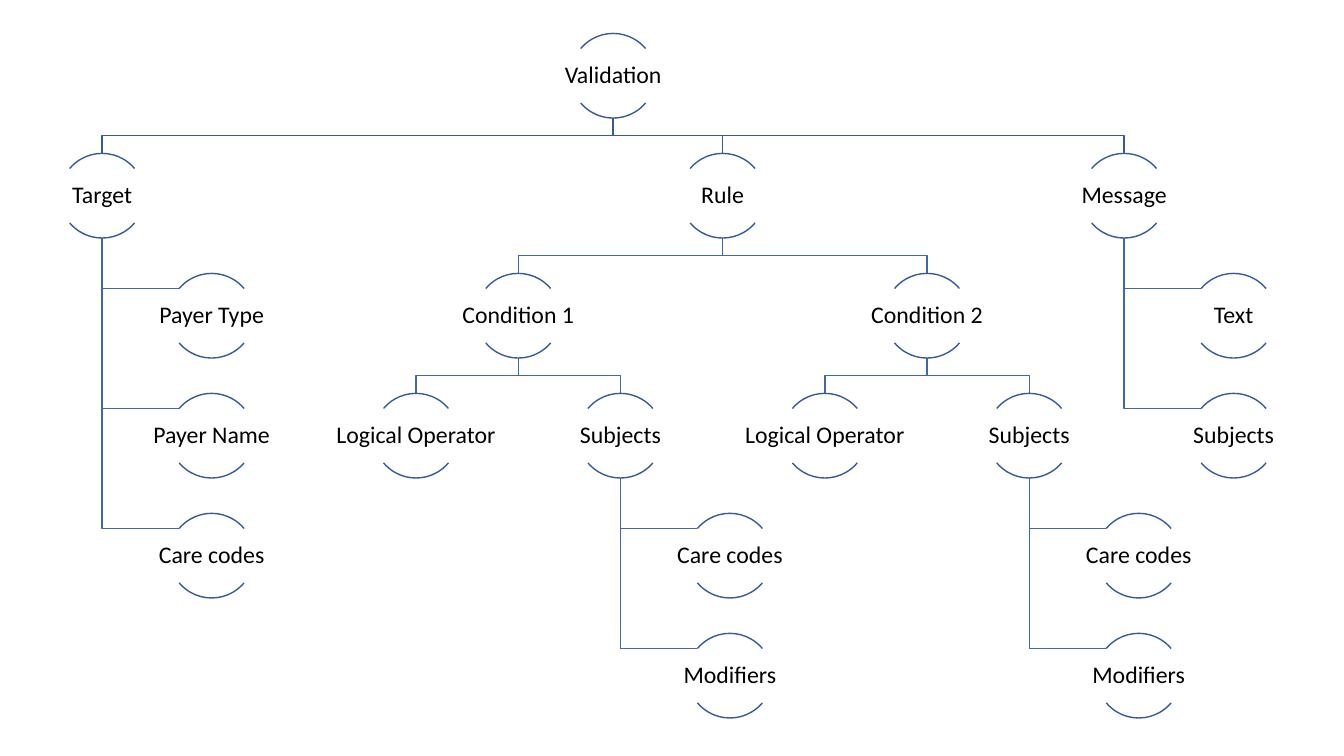
from collections import namedtuple

from pptx import Presentation
from pptx.dml.color import RGBColor as RGB
from pptx.enum.shapes import MSO_SHAPE as Shape
from pptx.enum.text import MSO_ANCHOR as Anchor, PP_ALIGN as Align
from pptx.util import Pt

COLORS = {"arc": "365B9D", "link": "3E67B2", "text": "000000"}
FONT = "Calibri"

# Layout rules, in points
TOP, ROW = 23.9, 85.7
RING = 60.5
INDENT = 78.2
LABEL_W, LABEL_H = 120.2, 38.8
INSET = 10.8
EDGE = 23.2
ARCS = ((132, 192), (24, 84))

# A node with a fixed x hangs its kids below it; others center over them
Node = namedtuple("Node", "text kids x", defaults=((), None))
Spot = namedtuple("Spot", "text x y")


def rule_part(name, left):
    """One condition with its operator and subjects."""
    return Node(name, (
        Node("Logical Operator", x=left),
        Node("Subjects", (Node("Care codes"), Node("Modifiers")), left + 146),
    ))


TREE = Node("Validation", (
    Node("Target", (Node("Payer Type"), Node("Payer Name"),
                    Node("Care codes")), 73),
    Node("Rule", (rule_part("Condition 1", 297.2),
                  rule_part("Condition 2", 589.2))),
    Node("Message", (Node("Text"), Node("Subjects")), 803),
))


def find_x(node):
    if node.x is not None:
        return node.x
    return (find_x(node.kids[0]) + find_x(node.kids[-1])) / 2


def place(node, row, spots, links):
    """Collect the spots and link routes of a branch."""
    x, y = find_x(node), TOP + ROW * row
    spots.append(Spot(node.text, x, y))
    foot = y + RING
    for i, kid in enumerate(node.kids, 1):
        if node.x is not None:
            kid_y = y + ROW * i
            spots.append(Spot(kid.text, x + INDENT, kid_y))
            bend = kid_y + INSET
            route = [(x, foot), (x, bend), (x + INDENT - EDGE, bend)]
        else:
            kid_x, kid_y = find_x(kid), y + ROW
            mid = (foot + kid_y) / 2
            route = [(x, foot), (x, mid), (kid_x, mid), (kid_x, kid_y)]
            place(kid, row + 1, spots, links)
        links.append((route, "arc" if row == 0 else "link"))


def set_line(shape, color):
    shape.shadow.inherit = False
    shape.fill.background()
    shape.line.color.rgb = RGB.from_string(COLORS[color])
    shape.line.width = Pt(1)


def add_link(shapes, route, color):
    points = [(Pt(x), Pt(y)) for x, y in route]
    path = shapes.build_freeform(*points[0])
    path.add_line_segments(points[1:], close=False)
    set_line(path.convert_to_shape(), color)


def add_arcs(shapes, spot):
    for start, end in ARCS:
        arc = shapes.add_shape(Shape.ARC, Pt(spot.x - RING / 2), Pt(spot.y),
                               Pt(RING), Pt(RING))
        arc.adjustments[0] = start
        arc.adjustments[1] = end
        set_line(arc, "arc")


def add_label(shapes, spot):
    box = shapes.add_textbox(Pt(spot.x - LABEL_W / 2), Pt(spot.y + INSET),
                             Pt(LABEL_W), Pt(LABEL_H))
    frame = box.text_frame
    frame.text = spot.text
    frame.word_wrap = True
    frame.vertical_anchor = Anchor.MIDDLE
    frame.margin_left = frame.margin_right = Pt(0.85)
    frame.margin_top = frame.margin_bottom = Pt(0.85)
    para = frame.paragraphs[0]
    para.alignment = Align.CENTER
    para.line_spacing = 0.9
    font = para.runs[0].font
    font.name = FONT
    font.size = Pt(17)
    font.color.rgb = RGB.from_string(COLORS["text"])


def main():
    deck = Presentation()
    deck.slide_width, deck.slide_height = Pt(960), Pt(540)
    slide = deck.slides.add_slide(deck.slide_layouts[6])
    shapes = slide.shapes.add_group_shape().shapes

    spots, links = [], []
    place(TREE, 0, spots, links)

    # Links lie behind the nodes
    for route, color in links:
        add_link(shapes, route, color)

    # Nodes
    for spot in spots:
        add_arcs(shapes, spot)
        add_label(shapes, spot)

    deck.save("out.pptx")


if __name__ == "__main__":
    main()
